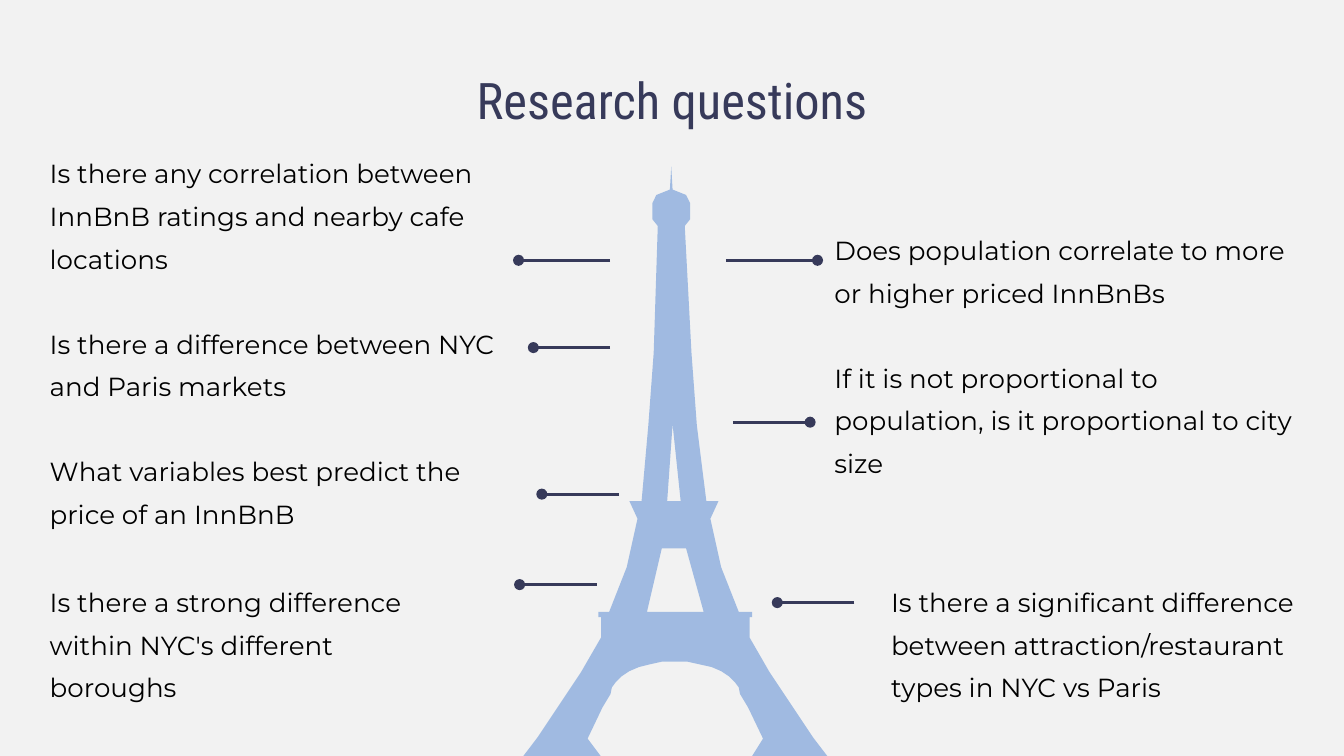
import math

from lxml import etree
from pptx import Presentation
from pptx.dml.color import RGBColor
from pptx.enum.shapes import MSO_CONNECTOR
from pptx.enum.text import MSO_ANCHOR, PP_ALIGN
from pptx.oxml.ns import qn
from pptx.util import Cm, Pt

STRAIGHT = MSO_CONNECTOR.STRAIGHT
TOP, MIDDLE = MSO_ANCHOR.TOP, MSO_ANCHOR.MIDDLE
LEFT, CENTER = PP_ALIGN.LEFT, PP_ALIGN.CENTER

BACKGROUND = RGBColor(0xF2, 0xF2, 0xF2)
NAVY = RGBColor(0x37, 0x3A, 0x5A)
TOWER_BLUE = RGBColor(0x8A, 0xAC, 0xDD)
BLACK = RGBColor(0, 0, 0)

# Boxes are left, top, width, height in centimetres
TITLE_BOX = (1.98, 1.02, 21.44, 1.7)
TOWER_BOX = (9.83, 3.15, 5.89, 11.2)
QUESTIONS = [
    ((0.69, 2.52, 9.58, 7.8), [
        "Is there any correlation between InnBnB ratings and nearby cafe locations",
        "Is there a difference between NYC and Paris markets",
        "What variables best predict the price of an InnBnB",
    ]),
    ((15.52, 3.97, 9.4, 5.5), [
        "Does population correlate to more or higher priced InnBnBs",
        "If it is not proportional to population, is it proportional to city size",
    ]),
    ((0.69, 10.62, 8.33, 2.95),
     ["Is there a strong difference within NYC's different boroughs"]),
    ((16.59, 10.62, 8.33, 2.95),
     ["Is there a significant difference between attraction/restaurant "
      "types in NYC vs Paris"]),
]

# Start x, dotted end x and height, in centimetres
POINTERS = [
    (13.72, 15.45, 4.92), (13.85, 15.31, 7.98), (11.53, 9.8, 4.92),
    (11.7, 10.24, 9.34), (11.28, 9.82, 11.05), (16.15, 14.69, 11.39),
    (11.53, 10.08, 6.57),
]

# Half-width and depth on a grid 231 wide, from the tip down to the feet
TOWER_GRID = 231
TOWER_SIDE = [
    (0, 0), (1, 17), (11, 21), (14, 27), (14, 39), (10, 44), (14, 138),
    (18, 192), (24, 248), (33, 248), (27, 261), (35, 297), (48, 330),
    (57, 330), (57, 334), (55, 334), (55, 349), (70, 375), (102, 423),
    (115, 440), (54, 440), (65, 424), (54, 401),
]
TOWER_OPENINGS = [[(0, 191), (5, 248)], [(9, 283), (21, 330)]]
ARCH_HALF_WIDTH, ARCH_HEIGHT, ARCH_BASE, ARCH_STEPS = 48, 24, 391, 8


def arch_side():
    angles = [math.pi / 2 * step / ARCH_STEPS for step in range(ARCH_STEPS + 1)]
    return [(ARCH_HALF_WIDTH * math.cos(angle),
             ARCH_BASE - ARCH_HEIGHT * math.sin(angle)) for angle in angles]


def mirror(side):
    """Return the whole contour about the tower's slightly leaning axis."""
    points = side + [(-half, depth) for half, depth in reversed(side)]
    return [(111.5 + depth / 110 + half, depth) for half, depth in points]


def add_tower(slide, box):
    left, top, width, _ = box
    sides = [TOWER_SIDE + arch_side(), *TOWER_OPENINGS]
    outline, *openings = map(mirror, sides)
    builder = slide.shapes.build_freeform(
        *outline[0], scale=Cm(width) / TOWER_GRID)
    builder.add_line_segments(outline[1:], close=True)
    for opening in openings:
        builder.move_to(*opening[0])
        builder.add_line_segments(opening[1:], close=True)
    tower = builder.convert_to_shape(Cm(left), Cm(top))
    tower.shadow.inherit = False
    tower.fill.solid()
    tower.fill.fore_color.rgb = TOWER_BLUE
    tower.line.fill.background()
    color = tower._element.spPr.find(qn("a:solidFill")).find(qn("a:srgbClr"))
    etree.SubElement(color, qn("a:alpha"), val="79000")


def write_text(shape, texts, font, size, color, align=LEFT, anchor=TOP,
               line_spacing=1.0, gap=0):
    """Fill the shape with one paragraph per text, gap points apart."""
    frame = shape.text_frame
    frame.word_wrap = True
    frame.vertical_anchor = anchor
    frame.margin_left = frame.margin_right = Cm(0.25)
    frame.margin_top = frame.margin_bottom = Cm(0.25)
    for index, text in enumerate(texts):
        paragraph = frame.add_paragraph() if index else frame.paragraphs[0]
        paragraph.text = text
        paragraph.alignment = align
        paragraph.line_spacing = line_spacing
        if index:
            paragraph.space_before = Pt(gap)
        paragraph.font.name = font
        paragraph.font.size = Pt(size)
        paragraph.font.color.rgb = color


def place_title(slide, box):
    title = slide.shapes.title
    title.left, title.top, title.width, title.height = map(Cm, box)
    write_text(title, ["Research questions"], font="Roboto Condensed", size=27,
               color=NAVY, align=CENTER, anchor=MIDDLE)


def add_questions(slide, box, questions):
    textbox = slide.shapes.add_textbox(*map(Cm, box))
    write_text(textbox, questions, font="Montserrat", size=14, color=BLACK,
               line_spacing=1.36, gap=22.7)


def add_pointer(slide, start, end, height):
    pointer = slide.shapes.add_connector(
        STRAIGHT, Cm(start), Cm(height), Cm(end), Cm(height))
    pointer.line.color.rgb = NAVY
    pointer.line.width = Pt(1.5)
    properties = pointer._element.spPr
    etree.SubElement(properties.find(qn("a:ln")), qn("a:tailEnd"), type="oval")
    etree.SubElement(properties, qn("a:effectLst"))


def main():
    presentation = Presentation()
    presentation.slide_width, presentation.slide_height = Cm(25.4), Cm(14.29)
    slide = presentation.slides.add_slide(presentation.slide_layouts[5])
    slide.background.fill.solid()
    slide.background.fill.fore_color.rgb = BACKGROUND
    place_title(slide, TITLE_BOX)
    add_tower(slide, TOWER_BOX)
    for pointer in POINTERS:
        add_pointer(slide, *pointer)
    for box, questions in QUESTIONS:
        add_questions(slide, box, questions)
    presentation.save("out.pptx")


if __name__ == "__main__":
    main()
